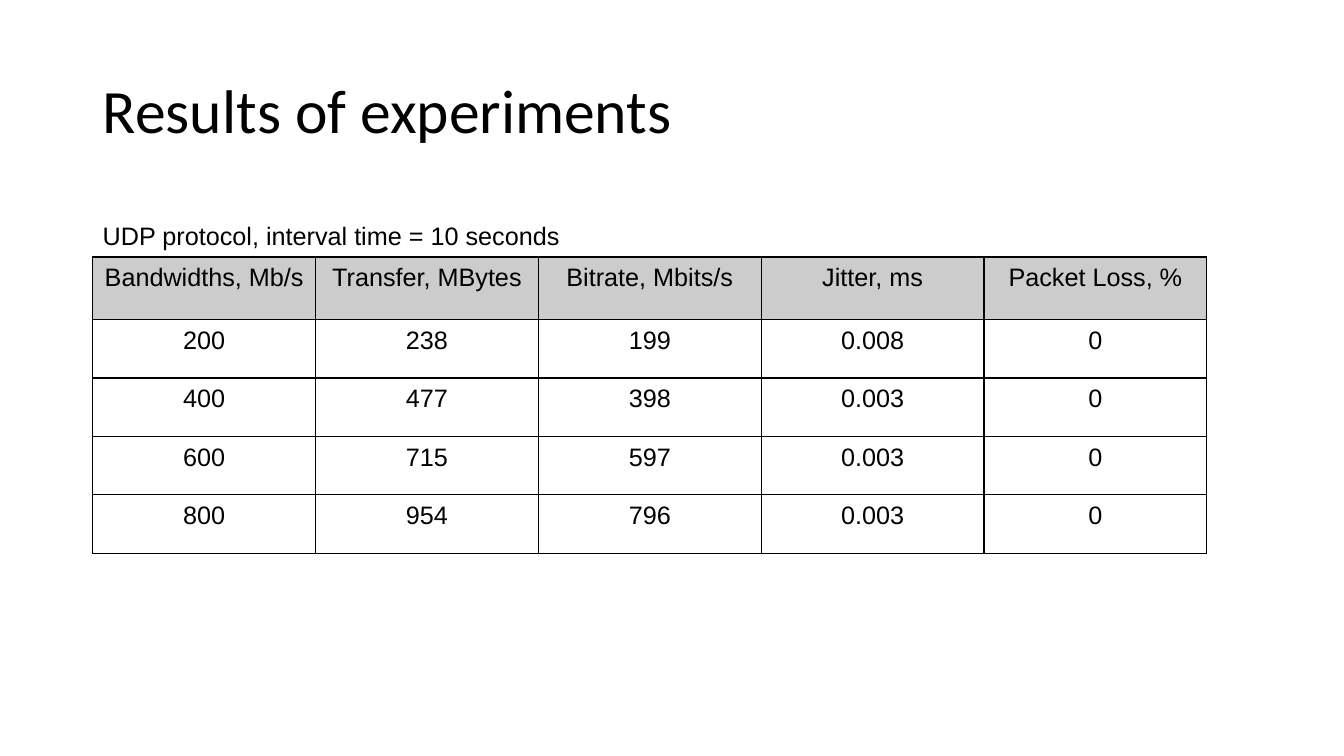
from lxml import etree
from pptx import Presentation
from pptx.dml.color import RGBColor
from pptx.enum.text import MSO_ANCHOR, PP_ALIGN
from pptx.oxml.ns import qn
from pptx.util import Inches, Pt

BLACK = RGBColor(0x00, 0x00, 0x00)
HEADER_GRAY = RGBColor(0xCC, 0xCC, 0xCC)
LEFT, CENTER = PP_ALIGN.LEFT, PP_ALIGN.CENTER
MIDDLE = MSO_ANCHOR.MIDDLE

MARGIN = Inches(0.92)
COL_W = Inches(2.21)
HEADER_H, ROW_H = Inches(0.62), Inches(0.58)
PAD = Inches(0.07)

ROWS = [
    ["Bandwidths, Mb/s", "Transfer, MBytes", "Bitrate, Mbits/s", "Jitter, ms", "Packet Loss, %"],
    ["200", "238", "199", "0.008", "0"],
    ["400", "477", "398", "0.003", "0"],
    ["600", "715", "597", "0.003", "0"],
    ["800", "954", "796", "0.003", "0"],
]


def write(tf, text, size, font, align):
    tf.text = text
    p = tf.paragraphs[0]
    p.alignment = align
    f = p.runs[0].font
    f.size, f.name, f.bold = Pt(size), font, False
    f.color.rgb = BLACK


def add_borders(cell):
    """Draw a 1 pt black line on all four sides; call before setting the fill."""
    tc_pr = cell._tc.get_or_add_tcPr()
    for side in ("a:lnL", "a:lnR", "a:lnT", "a:lnB"):
        ln = etree.SubElement(tc_pr, qn(side), w=str(Pt(1)))
        fill = etree.SubElement(ln, qn("a:solidFill"))
        etree.SubElement(fill, qn("a:srgbClr"), val=str(BLACK))


prs = Presentation()
prs.slide_width, prs.slide_height = Inches(13.33), Inches(7.5)
s = prs.slides.add_slide(prs.slide_layouts[5])

# Title
title = s.shapes.title
title.left, title.top = MARGIN, Inches(0.4)
title.width, title.height = prs.slide_width - 2 * MARGIN, Inches(1.45)
write(title.text_frame, "Results of experiments", 44, "Calibri", LEFT)
title.text_frame.vertical_anchor = MIDDLE
title.text_frame.paragraphs[0].line_spacing = 0.9

# Table of measurements
n_rows, n_cols = len(ROWS), len(ROWS[0])
table = s.shapes.add_table(n_rows, n_cols, MARGIN, Inches(2.55), n_cols * COL_W,
                           HEADER_H + (n_rows - 1) * ROW_H).table
table.first_row = table.horz_banding = False
for col in table.columns:
    col.width = COL_W
for i, values in enumerate(ROWS):
    table.rows[i].height = ROW_H if i else HEADER_H
    for j, value in enumerate(values):
        cell = table.cell(i, j)
        cell.margin_left = cell.margin_right = PAD
        cell.margin_top = cell.margin_bottom = PAD
        write(cell.text_frame, value, 18, "Arial", CENTER)
        add_borders(cell)
        if i:
            cell.fill.background()
        else:
            cell.fill.solid()
            cell.fill.fore_color.rgb = HEADER_GRAY

# Caption above the table
caption = s.shapes.add_textbox(MARGIN, Inches(2.14), prs.slide_width / 2, Inches(0.4))
caption.text_frame.word_wrap = True
write(caption.text_frame, "UDP protocol, interval time = 10 seconds", 18, "Arial", LEFT)

prs.save("out.pptx")
